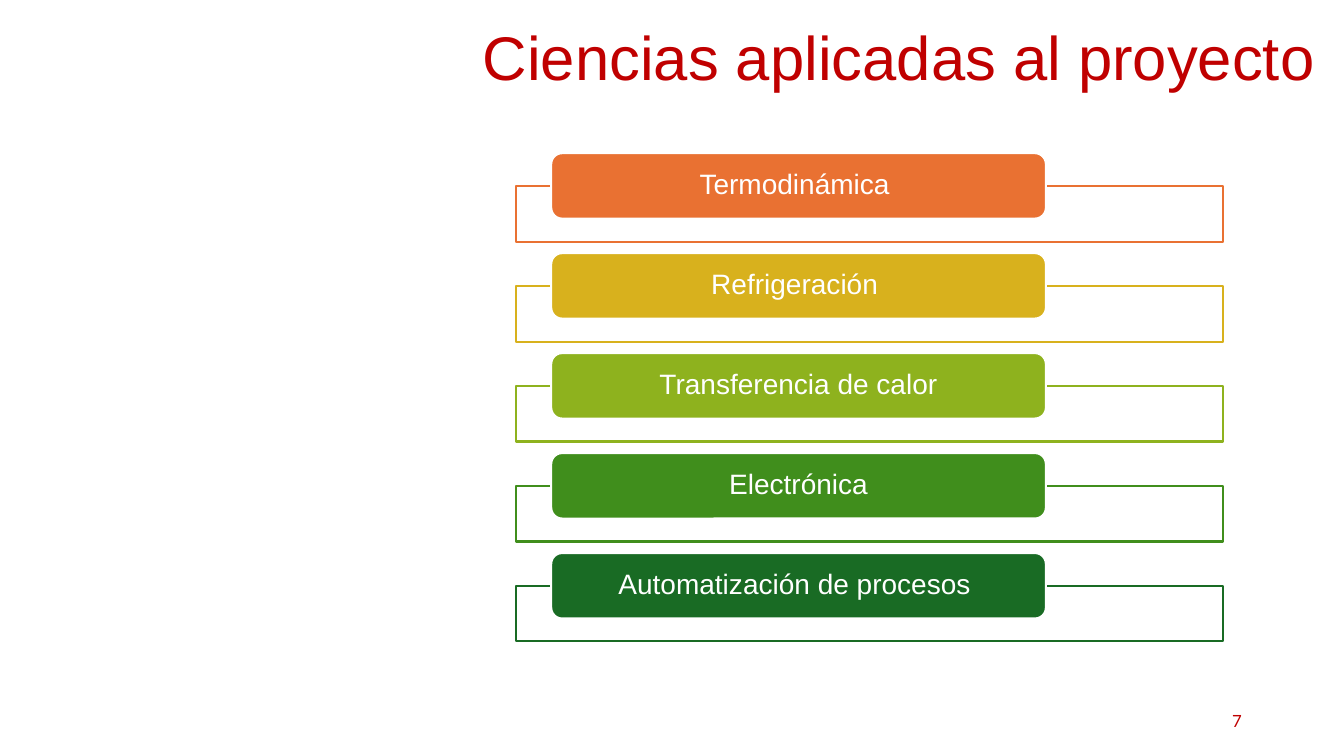
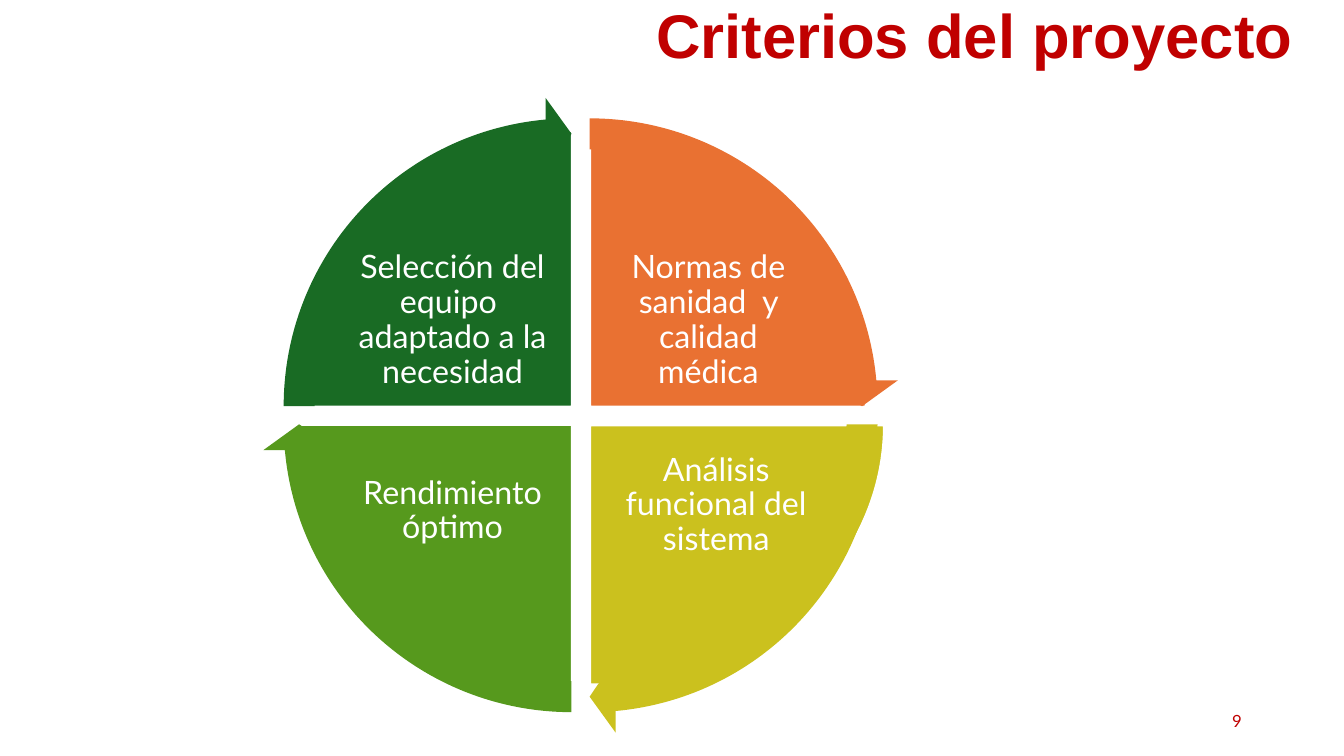
"""Build two slides: applied sciences as a list and project criteria as a cycle."""
from lxml.etree import SubElement
from pptx import Presentation
from pptx.dml.color import RGBColor
from pptx.enum.shapes import MSO_SHAPE
from pptx.enum.text import MSO_ANCHOR, PP_ALIGN
from pptx.oxml.ns import qn
from pptx.util import Pt

WHITE = RGBColor(0xFF, 0xFF, 0xFF)
RED = RGBColor(0xC0, 0x00, 0x00)
ORANGE = RGBColor(0xE9, 0x71, 0x32)
GOLD = RGBColor(0xD8, 0xB1, 0x1D)
YELLOW = RGBColor(0xCB, 0xC1, 0x1E)
LIME = RGBColor(0x8E, 0xB2, 0x1E)
LEAF = RGBColor(0x56, 0x99, 0x1D)
GREEN = RGBColor(0x40, 0x8E, 0x1C)
DARK_GREEN = RGBColor(0x19, 0x6B, 0x24)

HEADING_FONT = "Arial"
BODY_FONT = "Lato"

SCIENCES = [
    ("Termodinámica ", ORANGE),
    ("Refrigeración ", GOLD),
    ("Transferencia de calor", LIME),
    ("Electrónica", GREEN),
    ("Automatización de procesos ", DARK_GREEN),
]
ROW_STEP = 71.4

FULL_TURN = 216
QUARTER_TURN = FULL_TURN / 4
ARROW_SWEEP = 50.73
ARROW_SIZE = 442.1
ARROW_LEFT, ARROW_TOP, ARROW_GAP = 187.2, 69.1, 13
CRITERIA = [
    ("Normas de sanidad  y calidad médica", ORANGE,
     (224.6, 93.6, 393.8, 393.8), (433.4, 175, 145.4, 108), (1, 0)),
    ("Análisis funcional del sistema", YELLOW,
     (211.7, 118.8, 419.8, 370.1), (434.2, 310.3, 154.8, 101.5), (1, 1)),
    ("Rendimiento óptimo", LEAF,
     (211.7, 106.6, 393.8, 393.8), (250.6, 311, 145.4, 108), (0, 1)),
    ("Selección del equipo  adaptado a la necesidad", DARK_GREEN,
     (211.7, 93.6, 393.8, 393.8), (250.6, 175, 145.4, 108), (0, 0)),
]


def to_points(box):
    return [Pt(length) for length in box]


def write_text(shape, text, size, font_name, color, align,
               anchor=MSO_ANCHOR.MIDDLE, bold=False, insets=(7.2, 3.6), spacing=0.9):
    frame = shape.text_frame
    frame.text = text
    frame.word_wrap = True
    frame.vertical_anchor = anchor
    frame.margin_left = frame.margin_right = Pt(insets[0])
    frame.margin_top = frame.margin_bottom = Pt(insets[1])
    paragraph = frame.paragraphs[0]
    paragraph.alignment = align
    paragraph.line_spacing = spacing
    font = paragraph.runs[0].font
    font.size = Pt(size)
    font.name = font_name
    font.bold = bold
    font.color.rgb = color


def add_filled_shape(slide, kind, box, fill, line=None, adjustments=()):
    shape = slide.shapes.add_shape(kind, *to_points(box))
    shape.shadow.inherit = False
    shape.fill.solid()
    shape.fill.fore_color.rgb = fill
    if line is None:
        shape.line.fill.background()
    else:
        shape.line.color.rgb = line
        shape.line.width = Pt(1.5)
    for index, value in enumerate(adjustments):
        shape.adjustments[index] = value
    return shape


def add_title(slide, text, box, **style):
    title = slide.shapes.add_textbox(*to_points(box))
    write_text(title, text, 44, HEADING_FONT, RED, PP_ALIGN.RIGHT, **style)


def add_page_number(slide, number):
    box = slide.shapes.add_textbox(*to_points((678.2, 500.4, 216, 28.8)))
    write_text(box, str(number), 12, BODY_FONT, RED, PP_ALIGN.RIGHT, spacing=1)


def add_science_row(slide, row, text, color):
    offset = row * ROW_STEP
    frame = add_filled_shape(slide, MSO_SHAPE.RECTANGLE,
                             (368.6, 133 + offset, 504.7, 39.6), WHITE, color)
    fill_color = next(frame._element.iter(qn("a:srgbClr")))
    SubElement(fill_color, qn("a:alpha"), val="90000")
    card = add_filled_shape(slide, MSO_SHAPE.ROUNDED_RECTANGLE,
                            (393.7, 109.4 + offset, 353.4, 46.8), color, WHITE)
    write_text(card, text, 20, HEADING_FONT, WHITE, PP_ALIGN.CENTER, insets=(13.7, 0))


def add_sector(slide, start, text, color, pie_box, label_box):
    end = (start + QUARTER_TURN) % FULL_TURN
    add_filled_shape(slide, MSO_SHAPE.PIE, pie_box, color, WHITE, (start, end))
    label = slide.shapes.add_textbox(*to_points(label_box))
    write_text(label, text, 23, BODY_FONT, WHITE, PP_ALIGN.CENTER, insets=(2.3, 2.3))


def add_cycle_arrow(slide, start, color, column, row):
    box = (ARROW_LEFT + column * ARROW_GAP, ARROW_TOP + row * ARROW_GAP,
           ARROW_SIZE, ARROW_SIZE)
    add_filled_shape(slide, MSO_SHAPE.CIRCULAR_ARROW, box, color,
                     adjustments=(0.05, 3.28, start + ARROW_SWEEP, start, 0.06))


def add_sciences_slide(presentation):
    slide = presentation.slides.add_slide(presentation.slide_layouts[6])
    add_title(slide, "Ciencias aplicadas al proyecto ", (282.2, 5, 676.8, 76.3))
    for row, (text, color) in enumerate(SCIENCES):
        add_science_row(slide, row, text, color)
    add_page_number(slide, 7)


def add_criteria_slide(presentation):
    slide = presentation.slides.add_slide(presentation.slide_layouts[6])
    add_title(slide, "Criterios del proyecto ", (455.8, 0, 487.4, 71.3),
              anchor=MSO_ANCHOR.TOP, bold=True)
    starts = [(index + 3) % 4 * QUARTER_TURN for index in range(len(CRITERIA))]
    for start, (text, color, pie_box, label_box, _) in zip(starts, CRITERIA):
        add_sector(slide, start, text, color, pie_box, label_box)
    for start, (_, color, _, _, cell) in zip(starts, CRITERIA):
        add_cycle_arrow(slide, start, color, *cell)
    add_page_number(slide, 9)


def main():
    presentation = Presentation()
    presentation.slide_width = Pt(960)
    presentation.slide_height = Pt(540)
    add_sciences_slide(presentation)
    add_criteria_slide(presentation)
    presentation.save("out.pptx")


if __name__ == "__main__":
    main()
